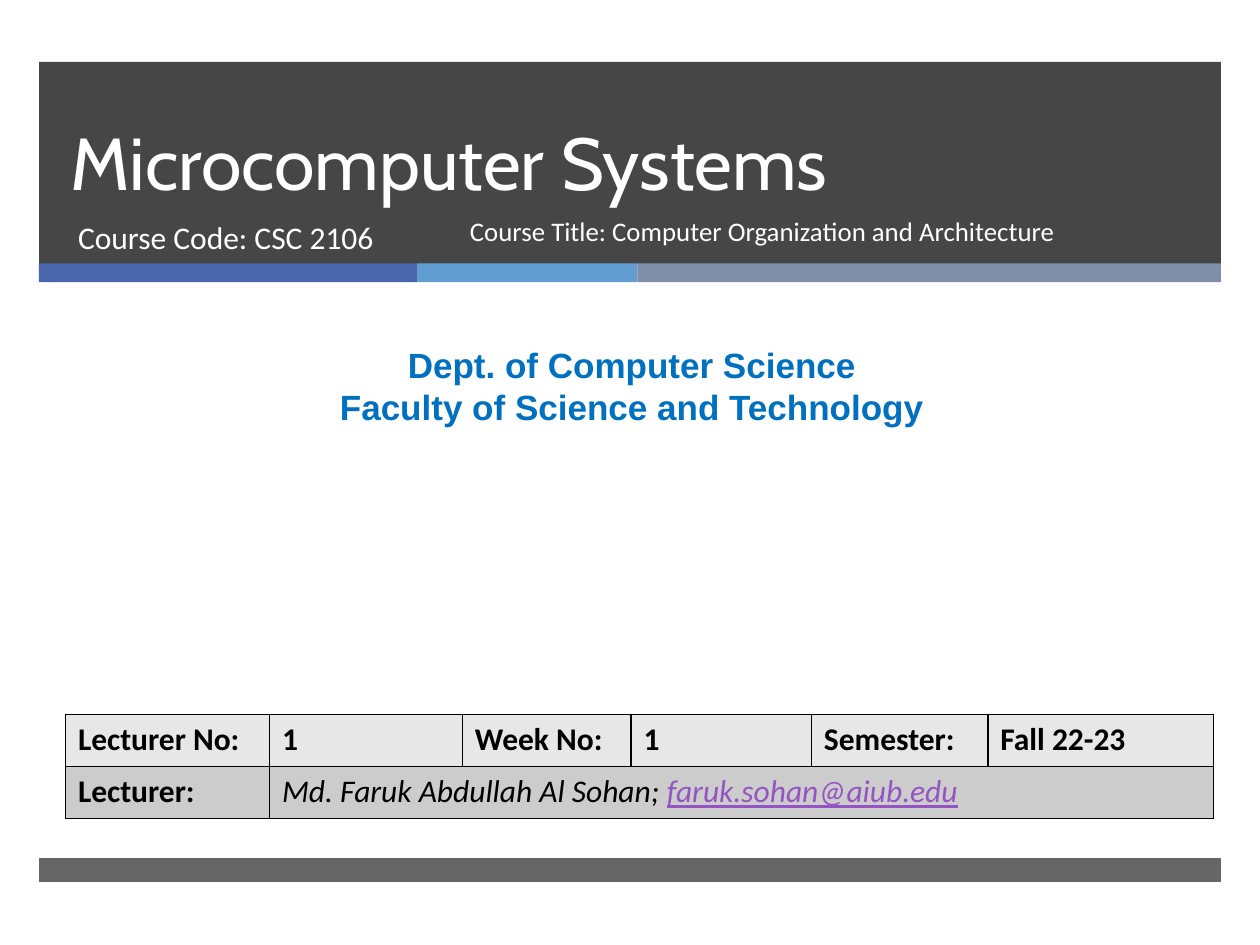
"""Builds the opening slide of a microcomputer systems lecture."""
from itertools import accumulate

from lxml import etree
from pptx import Presentation
from pptx import util as u
from pptx.dml.color import RGBColor
from pptx.enum import shapes, text
from pptx.oxml import ns

WHITE, BLACK, BLUE, CHARCOAL = "FFFFFF", "000000", "0070C0", "262626"
BARS = [
    (35.3, 115.9, 675.4, CHARCOAL, 85),
    (490.3, 13.7, 675.4, CHARCOAL, 70),
]
STRIPES = [(216, "4A66AC"), (126, "629DD1"), (333.4, "7F8FA9")]
BAR_LEFT, STRIPE_TOP, STRIPE_HEIGHT = 22.3, 150.5, 10.8
TITLE = "Microcomputer Systems"
COURSE_CODE = "Course Code: CSC 2106"
COURSE_TITLE = "Course Title: Computer Organization and Architecture"
DEPARTMENT = ["Dept. of Computer Science", "Faculty of Science and Technology"]
LECTURE = ["Lecturer No:", "1", "Week No:", "1", "Semester:", "Fall 22-23"]
LECTURER_LABEL = "Lecturer:"
LECTURER = "Md. Faruk Abdullah Al Sohan; "
EMAIL = "faruk.sohan@aiub.edu"
COLUMNS = [116.6, 110.2, 96.5, 103, 100.8, 128.9]
ROW_FILLS = ["E7E7E7", "CCCCCC"]
ROW_HEIGHT = 29.8


def color(value):
    return RGBColor.from_string(value)


def write(paragraph, words, size=18, font="Calibri", ink=BLACK, bold=False,
          italic=False, underline=False, align=text.PP_ALIGN.LEFT, spacing=None):
    paragraph.alignment = align
    paragraph.space_before = u.Pt(0)
    if spacing:
        paragraph.line_spacing = spacing
    run = paragraph.add_run()
    run.text = words
    run.font.size, run.font.name = u.Pt(size), font
    run.font.bold, run.font.italic, run.font.underline = bold, italic, underline
    run.font.color.rgb = color(ink)


def place(shape, left, top, width, height, anchor=text.MSO_ANCHOR.TOP):
    shape.left, shape.top, shape.width, shape.height = map(u.Pt, (left, top, width, height))
    frame = shape.text_frame
    frame.word_wrap = True
    frame.auto_size = text.MSO_AUTO_SIZE.NONE
    frame.vertical_anchor = anchor
    return frame


def add_bar(slide, left, top, width, height, fill, opacity=100):
    bar = slide.shapes.add_shape(shapes.MSO_SHAPE.RECTANGLE, *map(u.Pt, (left, top, width, height)))
    bar.shadow.inherit = False
    bar.line.fill.background()
    bar.fill.solid()
    bar.fill.fore_color.rgb = color(fill)
    if opacity < 100:
        tint = bar.element.spPr.find(".//" + ns.qn("a:srgbClr"))
        etree.SubElement(tint, ns.qn("a:alpha"), val=str(opacity * 1000))


def add_borders(cell):
    properties = cell._tc.get_or_add_tcPr()
    for index, side in enumerate(("lnL", "lnR", "lnT", "lnB")):
        border = etree.Element(ns.qn("a:" + side), w=str(u.Pt(1)))
        fill = etree.SubElement(border, ns.qn("a:solidFill"))
        etree.SubElement(fill, ns.qn("a:srgbClr"), val=BLACK)
        properties.insert(index, border)


def add_details(slide):
    table = slide.shapes.add_table(
        2, len(COLUMNS), u.Pt(37.4), u.Pt(408.2), u.Pt(sum(COLUMNS)), u.Pt(2 * ROW_HEIGHT)).table
    for column, width in zip(table.columns, COLUMNS):
        column.width = u.Pt(width)
    for row, fill in enumerate(ROW_FILLS):
        for cell in table.rows[row].cells:
            cell.fill.solid()
            cell.fill.fore_color.rgb = color(fill)
            add_borders(cell)
    table.cell(1, 1).merge(table.cell(1, len(COLUMNS) - 1))
    for column, words in enumerate(LECTURE):
        write(table.cell(0, column).text_frame.paragraphs[0], words, bold=True)
    write(table.cell(1, 0).text_frame.paragraphs[0], LECTURER_LABEL, bold=True)
    lecturer = table.cell(1, 1).text_frame.paragraphs[0]
    write(lecturer, LECTURER, italic=True)
    write(lecturer, EMAIL, italic=True, underline=True, ink="9454C3")


def main():
    deck = Presentation()
    deck.slide_width, deck.slide_height = u.Pt(720), u.Pt(540)
    slide = deck.slides.add_slide(deck.slide_layouts[0])
    for top, height, width, fill, opacity in BARS:
        add_bar(slide, BAR_LEFT, top, width, height, fill, opacity)
    lefts = accumulate((width for width, _ in STRIPES), initial=BAR_LEFT)
    for left, (width, fill) in zip(lefts, STRIPES):
        add_bar(slide, left, STRIPE_TOP, width, STRIPE_HEIGHT, fill)

    title, course_code = slide.placeholders
    for heading in (title, course_code):
        slide.shapes.element.append(heading.element)
    frame = place(title, 33.1, 35.3, 614.9, 85.7, text.MSO_ANCHOR.BOTTOM)
    write(frame.paragraphs[0], TITLE, size=42, font="Cabin", ink=WHITE, spacing=u.Pt(46))
    frame = place(course_code, 37.4, 121, 219.6, 38.2)
    write(frame.paragraphs[0], COURSE_CODE, ink=WHITE)

    department = slide.shapes.add_textbox(0, 0, 0, 0)
    frame = place(department, 5.8, 193, 710.6, 55.4)
    for index, words in enumerate(DEPARTMENT):
        paragraph = frame.add_paragraph() if index else frame.paragraphs[0]
        write(paragraph, words, size=20, font="Arial", ink=BLUE, bold=True,
              align=text.PP_ALIGN.CENTER)
    add_details(slide)
    course_title = slide.shapes.add_textbox(0, 0, 0, 0)
    frame = place(course_title, 261.4, 121, 349.2, 38.2)
    write(frame.paragraphs[0], COURSE_TITLE, size=15.3, ink=WHITE, spacing=0.9)
    deck.save("out.pptx")


if __name__ == "__main__":
    main()
